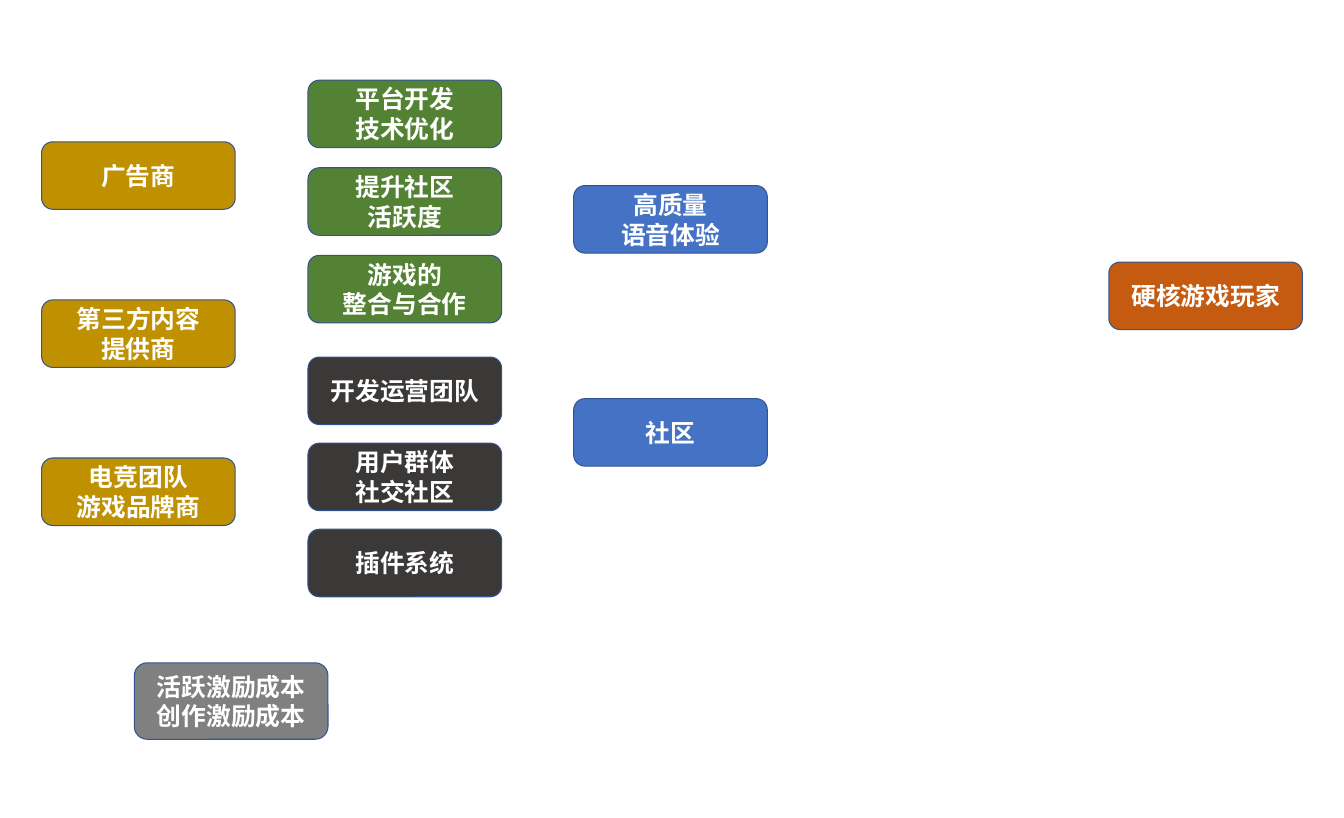
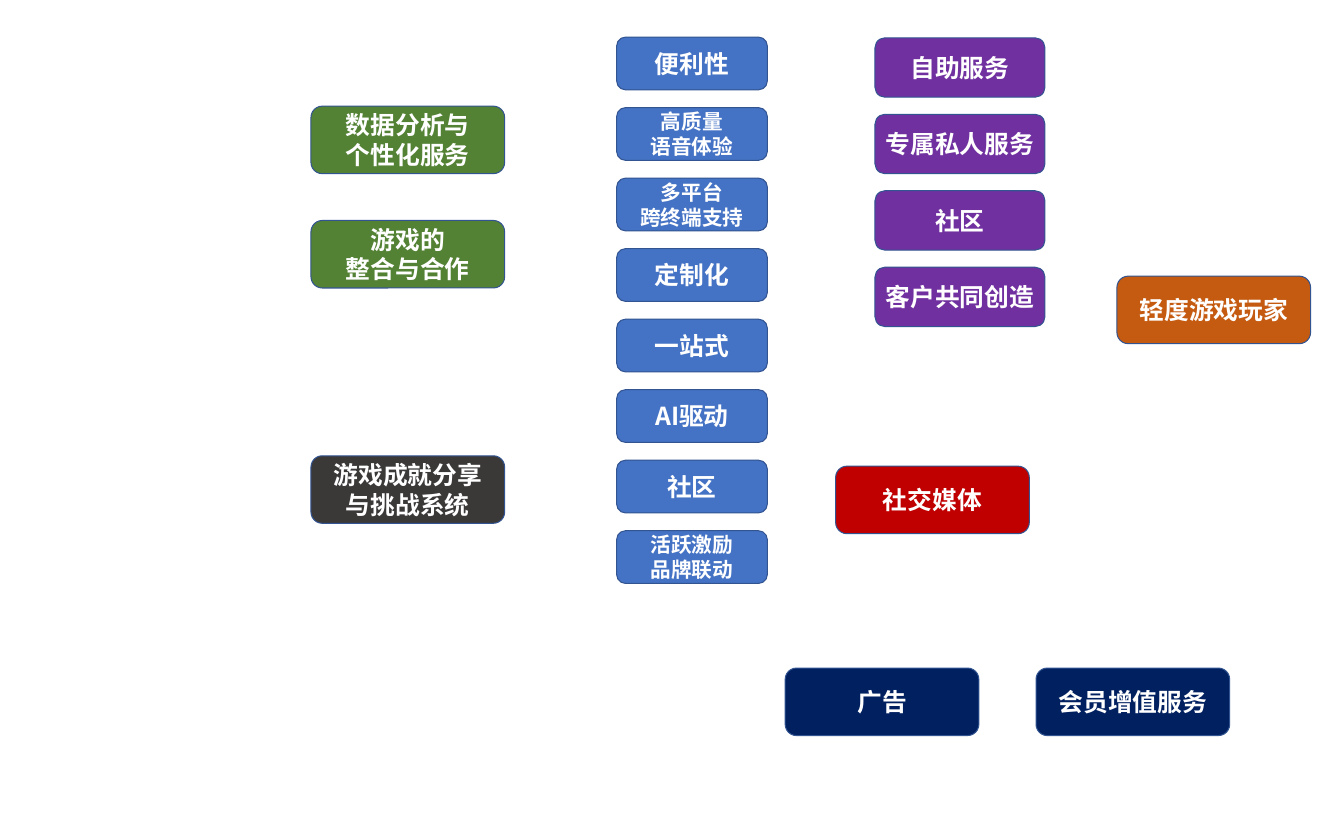
from lxml.etree import SubElement
from pptx import Presentation
from pptx.dml.color import RGBColor
from pptx.enum.shapes import MSO_SHAPE
from pptx.enum.text import MSO_ANCHOR, PP_ALIGN
from pptx.oxml.ns import qn
from pptx.util import Inches, Pt

FONT = "Noto Sans CJK SC"
WHITE = "FFFFFF"
OUTLINE = "325491"
PARTNER = "BF9000"
ACTIVITY = "548235"
RESOURCE = "3B3838"
VALUE = "4472C4"
RELATION = "7030A0"
CHANNEL = "C00000"
CUSTOMER = "C55A11"
COST = "808080"
REVENUE = "002060"
CARD = (2.61, 0.91)
VALUE_CARD = (2.03, 0.71)
RELATION_CARD = (2.29, 0.8)
COST_CARD = (2.61, 1.03)


def rgb(color):
    return RGBColor.from_string(color)


def format_run(r, pts):
    r.font.name = FONT
    r.font.size = Pt(pts)
    r.font.bold = True
    r.font.color.rgb = rgb(WHITE)
    SubElement(r.font._element, qn("a:ea"), typeface=FONT)


def add_card(s, x, y, label, color, size=CARD, pts=24):
    sp = s.shapes.add_shape(MSO_SHAPE.ROUNDED_RECTANGLE,
                            *(Inches(v) for v in (x, y, *size)))
    sp.shadow.inherit = False
    sp.fill.solid()
    sp.fill.fore_color.rgb = rgb(color)
    sp.line.color.rgb = rgb(OUTLINE)
    sp.line.width = Pt(1)
    tf = sp.text_frame
    tf.word_wrap = True
    tf.vertical_anchor = MSO_ANCHOR.MIDDLE
    tf.text = label
    for p in tf.paragraphs:
        p.alignment = PP_ALIGN.CENTER
        p.line_spacing = Pt(pts * 1.2)
        for r in p.runs:
            format_run(r, pts)


def add_column(s, x, y, pitch, labels, color, size=CARD, two_line_pts=24):
    for i, label in enumerate(labels):
        pts = two_line_pts if "\n" in label else 24
        add_card(s, x, y + i * pitch, label, color, size, pts)


def build_hardcore(s):
    add_column(s, 0.56, 1.91, 2.13,
               ["广告商", "第三方内容\n提供商", "电竞团队\n游戏品牌商"], PARTNER)
    add_column(s, 4.15, 1.08, 1.18,
               ["平台开发\n技术优化", "提升社区\n活跃度", "游戏的\n整合与合作"], ACTIVITY)
    add_column(s, 4.15, 4.81, 1.16,
               ["开发运营团队", "用户群体\n社交社区", "插件系统"], RESOURCE)
    add_column(s, 7.73, 2.5, 2.87, ["高质量\n语音体验", "社区"], VALUE)
    add_card(s, 14.94, 3.53, "硬核游戏玩家", CUSTOMER)
    add_card(s, 1.81, 8.93, "活跃激励成本\n创作激励成本", COST, COST_CARD)


def build_casual(s):
    add_column(s, 4.19, 1.43, 1.54,
               ["数据分析与\n个性化服务", "游戏的\n整合与合作"], ACTIVITY)
    add_card(s, 4.19, 6.14, "游戏成就分享与挑战系统", RESOURCE)
    add_column(s, 8.31, 0.5, 0.95,
               ["便利性", "高质量\n语音体验", "多平台\n跨终端支持", "定制化",
                "一站式", "AI驱动", "社区", "活跃激励\n品牌联动"],
               VALUE, VALUE_CARD, 20)
    add_column(s, 11.79, 0.51, 1.03,
               ["自助服务", "专属私人服务", "社区", "客户共同创造"],
               RELATION, RELATION_CARD)
    add_card(s, 11.26, 6.28, "社交媒体", CHANNEL)
    add_card(s, 15.05, 3.72, "轻度游戏玩家", CUSTOMER)
    add_card(s, 10.58, 9, "广告", REVENUE)
    add_card(s, 13.96, 9, "会员增值服务", REVENUE)


def main():
    prs = Presentation()
    prs.slide_width = Inches(18.11)
    prs.slide_height = Inches(11.02)
    for build in (build_hardcore, build_casual):
        build(prs.slides.add_slide(prs.slide_layouts[6]))
    prs.save("out.pptx")


if __name__ == "__main__":
    main()
